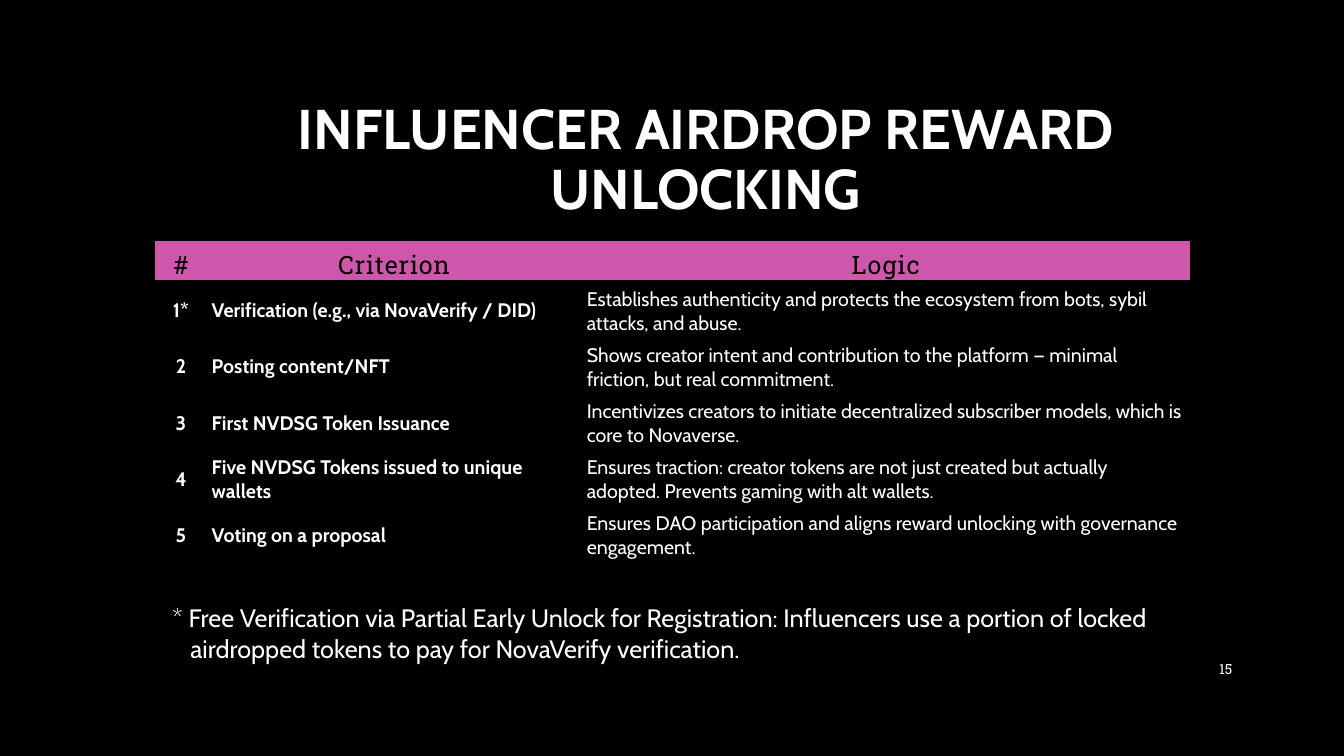
from pptx import Presentation
from pptx.dml.color import RGBColor
from pptx.enum.text import MSO_ANCHOR, MSO_AUTO_SIZE, PP_ALIGN
from pptx.util import Inches, Pt

# Content
TITLE = "INFLUENCER AIRDROP REWARD UNLOCKING"
HEADER = ("#", "Criterion", "Logic")
CRITERIA = [
    ("1*", "Verification (e.g., via NovaVerify / DID)",
     "Establishes authenticity and protects the ecosystem from bots, sybil attacks, and abuse."),
    ("2", "Posting content/NFT",
     "Shows creator intent and contribution to the platform — minimal friction, but real commitment."),
    ("3", "First NVDSG Token Issuance",
     "Incentivizes creators to initiate decentralized subscriber models, which is core to Novaverse."),
    ("4", "Five NVDSG Tokens issued to unique wallets",
     "Ensures traction: creator tokens are not just created but actually adopted. "
     "Prevents gaming with alt wallets."),
    ("5", "Voting on a proposal",
     "Ensures DAO participation and aligns reward unlocking with governance engagement."),
]
FOOTNOTE = ("* Free Verification via Partial Early Unlock for Registration: Influencers use a portion "
            "of locked airdropped tokens to pay for NovaVerify verification.")
PAGE_NUMBER = "15"

# Theme
BLACK, WHITE, PINK = (RGBColor.from_string(code) for code in ("000000", "FFFFFF", "CE57AB"))
THEME = {
    "title": {"name": "Cabin", "size": Pt(40), "bold": True, "color": WHITE},
    "header": {"name": "Roboto Slab", "size": Pt(18), "bold": False, "color": BLACK},
    "label": {"name": "Cabin", "size": Pt(14), "bold": True, "color": WHITE},
    "logic": {"name": "Cabin", "size": Pt(14), "bold": False, "color": WHITE},
    "footnote": {"name": "Cabin", "size": Pt(18), "bold": False, "color": WHITE},
    "number": {"name": "Roboto Slab", "size": Pt(10), "bold": False, "color": WHITE},
}
NO_GRID_STYLE = "{2D5ABB26-0587-4C30-8999-92F81FD0307C}"

# Layout, in inches
SLIDE_SIZE = (13.33, 7.5)
TITLE_BOX = (1.26, 0.86, 11.48, 1.39)
TABLE_BOX = (1.54, 2.39, 10.25, 3.21)
FOOTNOTE_BOX = (1.61, 5.93, 10.11, 0.71)
NUMBER_BOX = (11.5, 6.44, 0.82, 0.4)
COLUMN_WIDTHS = (0.51, 3.72, 6.03)
HEADER_HEIGHT, ROW_HEIGHT = 0.32, 0.47
CELL_MARGINS = {"margin_left": 0.05, "margin_top": 0.07, "margin_right": 0.05, "margin_bottom": 0.02}
HANGING_INDENT = 0.18


def write(text_frame, text, role, alignment=PP_ALIGN.LEFT):
    paragraph = text_frame.paragraphs[0]
    paragraph.alignment = alignment
    run = paragraph.add_run()
    run.text = text
    for name, value in THEME[role].items():
        if name == "color":
            run.font.color.rgb = value
        else:
            setattr(run.font, name, value)
    return paragraph, run


def place(shape, box):
    for name, value in zip(("left", "top", "width", "height"), box):
        setattr(shape, name, Inches(value))


def add_text(slide, box, anchor):
    text_frame = slide.shapes.add_textbox(*map(Inches, box)).text_frame
    text_frame.word_wrap = True
    text_frame.vertical_anchor = anchor
    return text_frame


def add_title(slide):
    title = slide.shapes.title
    place(title, TITLE_BOX)
    title.text_frame.word_wrap = True
    title.text_frame.auto_size = MSO_AUTO_SIZE.NONE
    title.text_frame.vertical_anchor = MSO_ANCHOR.BOTTOM
    paragraph, _ = write(title.text_frame, TITLE, "title", PP_ALIGN.CENTER)
    paragraph.line_spacing = 0.9


def add_criteria_table(slide):
    rows = [HEADER, *CRITERIA]
    frame = slide.shapes.add_table(len(rows), len(HEADER), *map(Inches, TABLE_BOX))
    table = frame.table
    table._tbl.tblPr.find("{*}tableStyleId").text = NO_GRID_STYLE
    table.horz_banding = False
    for column, width in zip(table.columns, COLUMN_WIDTHS):
        column.width = Inches(width)
    for row_index, texts in enumerate(rows):
        is_header = row_index == 0
        table.rows[row_index].height = Inches(HEADER_HEIGHT if is_header else ROW_HEIGHT)
        for column_index, text in enumerate(texts):
            cell = table.cell(row_index, column_index)
            cell.fill.solid()
            cell.fill.fore_color.rgb = PINK if is_header else BLACK
            cell.vertical_anchor = MSO_ANCHOR.MIDDLE
            for name, value in CELL_MARGINS.items():
                setattr(cell, name, Inches(value))
            role = "header" if is_header else ("label", "label", "logic")[column_index]
            centred = is_header or column_index == 0
            _, run = write(cell.text_frame, text, role,
                           PP_ALIGN.CENTER if centred else PP_ALIGN.LEFT)
            if is_header:
                run.font._element.set("spc", "60")  # letter spacing of 0.6 pt
    place(frame, TABLE_BOX)


def add_footnote(slide):
    text_frame = add_text(slide, FOOTNOTE_BOX, MSO_ANCHOR.TOP)
    text_frame.auto_size = MSO_AUTO_SIZE.SHAPE_TO_FIT_TEXT
    paragraph, _ = write(text_frame, FOOTNOTE, "footnote")
    properties = paragraph._p.get_or_add_pPr()
    properties.set("marL", str(Inches(HANGING_INDENT)))
    properties.set("indent", str(-Inches(HANGING_INDENT)))


def add_page_number(slide):
    text_frame = add_text(slide, NUMBER_BOX, MSO_ANCHOR.MIDDLE)
    paragraph, _ = write(text_frame, PAGE_NUMBER, "number", PP_ALIGN.RIGHT)
    paragraph.space_after = Pt(6)


def main():
    presentation = Presentation()
    presentation.slide_width, presentation.slide_height = map(Inches, SLIDE_SIZE)
    slide = presentation.slides.add_slide(presentation.slide_layouts.get_by_name("Title Only"))
    slide.background.fill.solid()
    slide.background.fill.fore_color.rgb = BLACK
    add_title(slide)
    add_page_number(slide)
    add_criteria_table(slide)
    add_footnote(slide)
    presentation.save("out.pptx")


if __name__ == "__main__":
    main()
